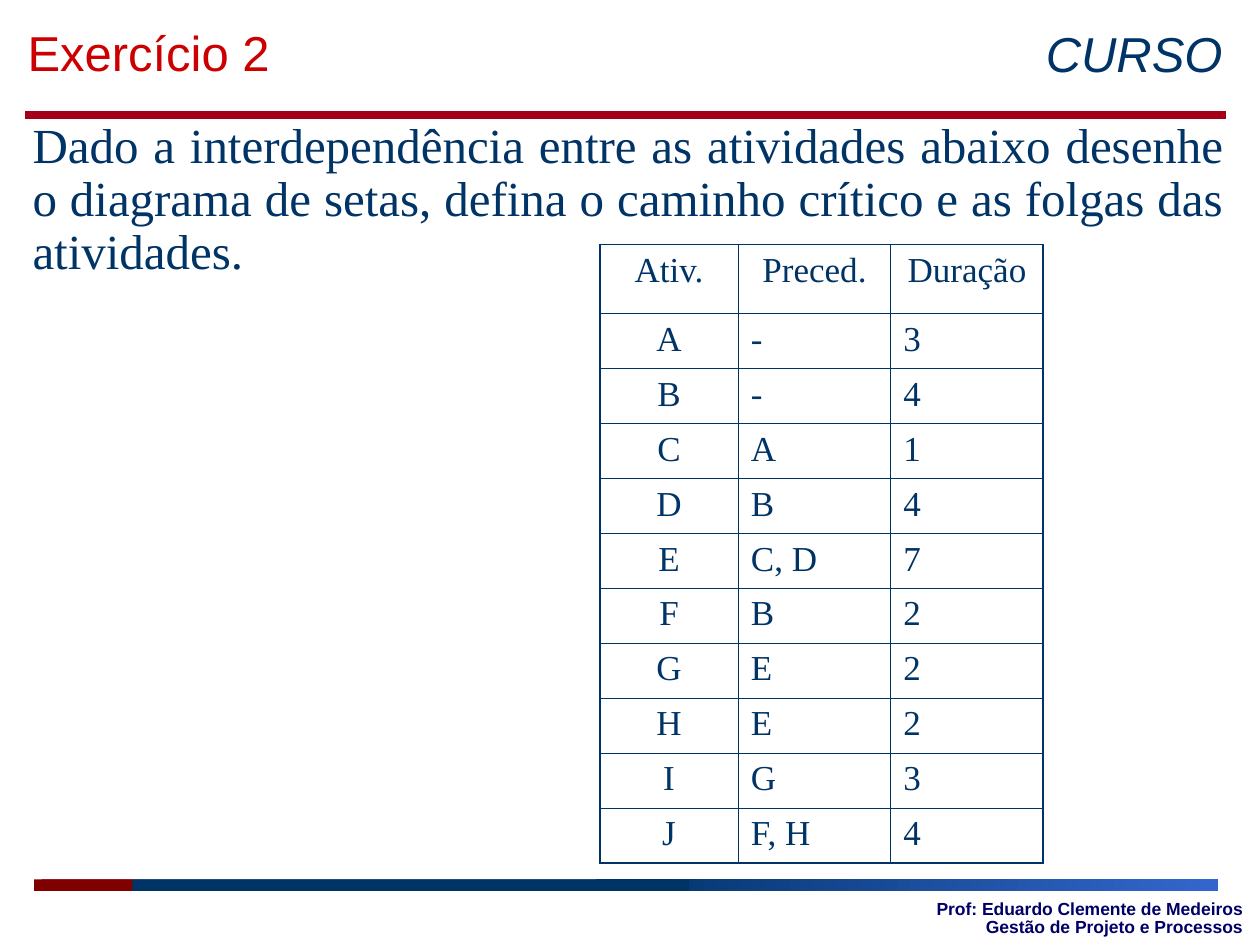
from lxml import etree
from pptx import Presentation
from pptx.dml.color import RGBColor
from pptx.enum.shapes import MSO_CONNECTOR as CONN, MSO_SHAPE as SHAPE
from pptx.enum.text import MSO_ANCHOR as ANCHOR, PP_ALIGN as ALIGN
from pptx.oxml.ns import qn
from pptx.util import Inches, Pt

NAVY, BLUE, MAROON, RULE = "003366", "3366CC", "800000", "A40018"
SANS, SERIF = "Arial", "Times New Roman"
THICK, THIN = 1.08, 0.45

TEXTS = [
    dict(text="CURSO", at=(7.91, 0.21, 1.89, 0.5), size=28, font=SANS, color=NAVY,
         align=ALIGN.RIGHT, spacing=0.85, before=17.5, italic=True),
    dict(text="Prof: Eduardo Clemente de Medeiros Gestão de Projeto e Processos",
         at=(7.05, 7.14, 2.91, 0.31), size=10, font=SANS, color="000066",
         align=ALIGN.RIGHT, spacing=0.85, bold=True, anchor=ANCHOR.MIDDLE),
    dict(text="Dado a interdependência entre as atividades abaixo desenhe o diagrama "
              "de setas, defina o caminho crítico e as folgas das atividades.",
         at=(0.16, 0.91, 9.65, 1.36), size=28, font=SERIF, color=NAVY,
         align=ALIGN.JUSTIFY, spacing=0.9, before=7, after=3.5),
    dict(text="Exercício 2", at=(0.12, 0.13, 7.32, 0.57), size=28, font=SANS,
         color="CC0000", before=17.5),
]

ROWS = [
    ("Ativ.", "Preced.", "Duração"),
    ("A", "-", "3"),
    ("B", "-", "4"),
    ("C", "A", "1"),
    ("D", "B", "4"),
    ("E", "C, D", "7"),
    ("F", "B", "2"),
    ("G", "E", "2"),
    ("H", "E", "2"),
    ("I", "G", "3"),
    ("J", "F, H", "4"),
]
COL_WIDTHS = (1.1, 1.21, 1.21)
TABLE_LEFT, TABLE_TOP, TABLE_HEIGHT, HEADER_HEIGHT = 4.76, 1.94, 4.91, 0.55

BAR_TOP, BAR_HEIGHT, BAR_LEFTS = 6.98, 0.09, (0.33, 0.27)
BAR_PARTS = [(0, 0.78, (MAROON,)), (4.46, 4.88, (NAVY, BLUE)), (0.78, 4.42, (NAVY,))]


def rgb(value):
    """Turn a hex string into a colour."""
    return RGBColor.from_string(value)


def add_bar(s, left, width, colors):
    """Draw one piece of the footer bar, solid or graded."""
    sp = s.shapes.add_shape(SHAPE.RECTANGLE, Inches(left), Inches(BAR_TOP),
                            Inches(width), Inches(BAR_HEIGHT))
    sp.shadow.inherit = False
    sp.line.fill.background()
    if len(colors) == 1:
        sp.fill.solid()
        sp.fill.fore_color.rgb = rgb(colors[0])
    else:
        sp.fill.gradient()
        sp.fill.gradient_angle = 0
        for stop, color in zip(sp.fill.gradient_stops, colors):
            stop.color.rgb = rgb(color)


def add_rule(s):
    """Draw the red rule under the heading."""
    line = s.shapes.add_connector(CONN.STRAIGHT, Inches(0.2), Inches(0.91),
                                  Inches(9.73), Inches(0.91))
    line.line.color.rgb = rgb(RULE)
    line.line.width = Pt(4.5)
    etree.SubElement(line._element.spPr, qn("a:effectLst"))


def style(p, size, font, color, align=None, before=0, after=0, spacing=None,
          bold=None, italic=None):
    """Set the font and spacing of a paragraph."""
    p.font.size, p.font.name, p.font.color.rgb = Pt(size), font, rgb(color)
    p.font.bold, p.font.italic = bold, italic
    p.alignment, p.line_spacing = align, spacing
    p.space_before, p.space_after = Pt(before), Pt(after)


def add_text(s, text, at, anchor=ANCHOR.TOP, **look):
    """Add a wrapped text box."""
    tf = s.shapes.add_textbox(*map(Inches, at)).text_frame
    tf.word_wrap, tf.vertical_anchor = True, anchor
    p = tf.paragraphs[0]
    p.text = text
    style(p, **look)


def set_borders(cell, widths):
    """Draw the left, right, top and bottom borders of a cell."""
    tcPr = cell._tc.get_or_add_tcPr()
    for i, (side, width) in enumerate(zip("LRTB", widths)):
        ln = etree.Element(qn(f"a:ln{side}"), w=str(int(Pt(width))))
        fill = etree.SubElement(ln, qn("a:solidFill"))
        etree.SubElement(fill, qn("a:srgbClr"), val=NAVY)
        tcPr.insert(i, ln)


def add_activity_table(s):
    """Add the table of activities with a thicker outer frame."""
    n_rows, n_cols = len(ROWS), len(COL_WIDTHS)
    table = s.shapes.add_table(n_rows, n_cols, Inches(TABLE_LEFT), Inches(TABLE_TOP),
                               Inches(sum(COL_WIDTHS)), Inches(TABLE_HEIGHT)).table
    table.first_row = table.horz_banding = False
    for col, width in zip(table.columns, COL_WIDTHS):
        col.width = Inches(width)
    row_height = (TABLE_HEIGHT - HEADER_HEIGHT) / (n_rows - 1)
    for r, values in enumerate(ROWS):
        table.rows[r].height = Inches(row_height if r else HEADER_HEIGHT)
        for c, value in enumerate(values):
            cell = table.cell(r, c)
            cell.fill.background()
            p = cell.text_frame.paragraphs[0]
            p.text = value
            style(p, 20, SERIF, NAVY, before=5,
                  align=ALIGN.LEFT if r and c else ALIGN.CENTER)
            outer = (c == 0, c == n_cols - 1, r == 0, r == n_rows - 1)
            set_borders(cell, [THICK if edge else THIN for edge in outer])


def main():
    """Build the exercise slide."""
    prs = Presentation()
    prs.slide_width, prs.slide_height = Inches(10), Inches(7.5)
    s = prs.slides.add_slide(prs.slide_layouts[6])
    for left in BAR_LEFTS:
        for offset, width, colors in BAR_PARTS:
            add_bar(s, left + offset, width, colors)
    add_rule(s)
    for item in TEXTS:
        add_text(s, **item)
    add_activity_table(s)
    prs.save("out.pptx")


if __name__ == "__main__":
    main()
